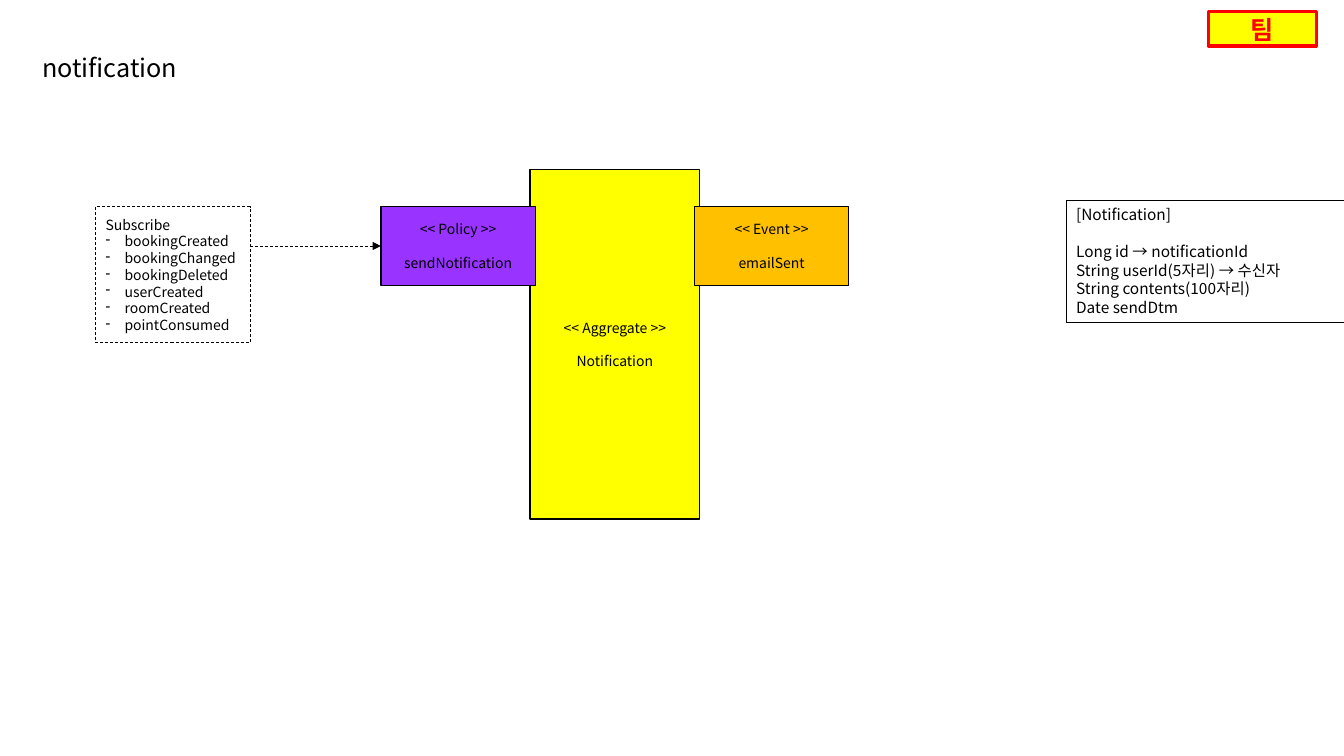
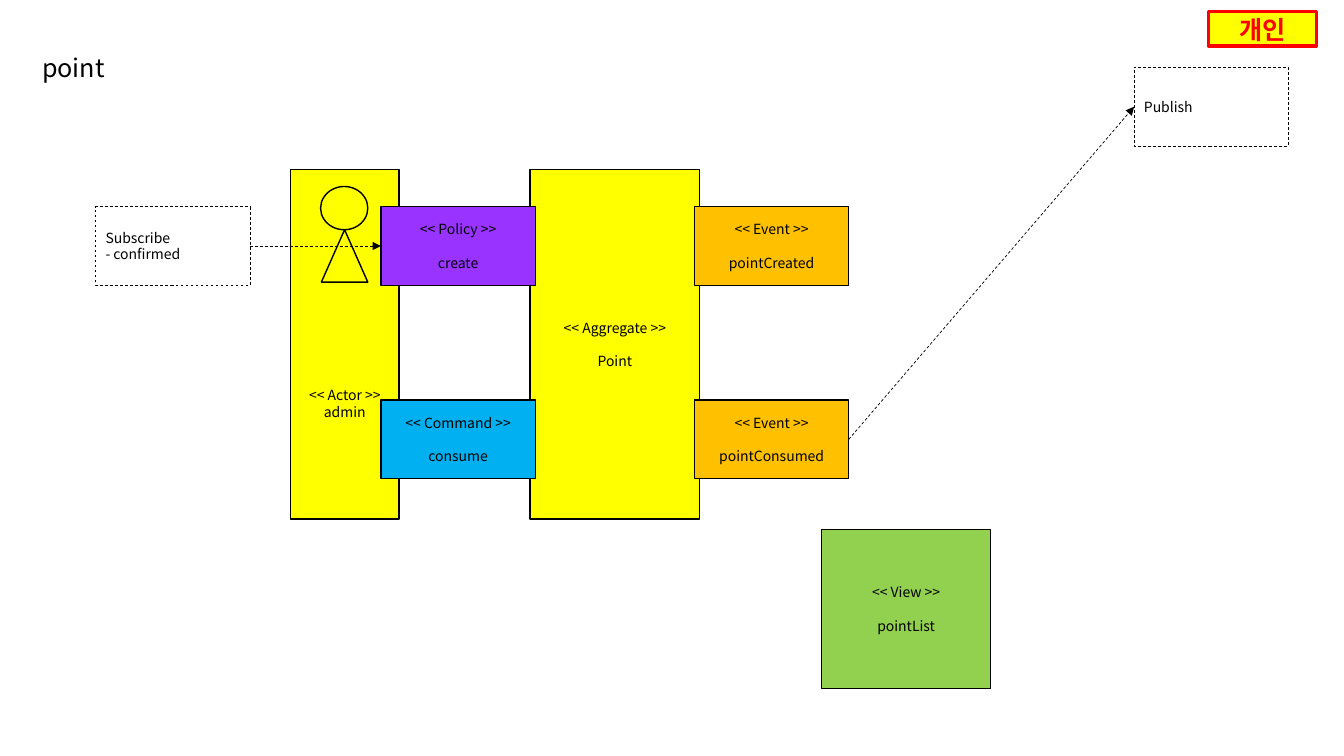
from dataclasses import dataclass

from lxml.etree import SubElement
from pptx import Presentation
from pptx.dml.color import RGBColor
from pptx.enum.dml import MSO_LINE
from pptx.enum.shapes import MSO_CONNECTOR, MSO_SHAPE
from pptx.enum.text import MSO_ANCHOR, PP_ALIGN
from pptx.oxml.ns import qn
from pptx.shapes.autoshape import Shape
from pptx.shapes.connector import Connector
from pptx.slide import Slide
from pptx.util import Cm, Pt

FONT = "Noto Sans CJK KR"
LINE_HEIGHT = 1.2
COLORS = {
    "black": "000000",
    "red": "FF0000",
    "Aggregate": "FFFF00",
    "Actor": "FFFF00",
    "Badge": "FFFF00",
    "Policy": "9933FF",
    "Command": "00B0F0",
    "Event": "FFC000",
    "View": "92D050",
}


@dataclass(frozen=True)
class Area:
    """Left, top, width and height in centimetres."""
    left: float
    top: float
    width: float
    height: float

    def lengths(self) -> tuple[Cm, Cm, Cm, Cm]:
        return Cm(self.left), Cm(self.top), Cm(self.width), Cm(self.height)


@dataclass(frozen=True)
class Element:
    """A stereotyped block of the event storming model."""
    kind: str
    name: str
    area: Area


@dataclass(frozen=True)
class TextStyle:
    size: float = 10
    color: str = "black"
    bold: bool = False
    alignment: PP_ALIGN = PP_ALIGN.LEFT
    gap_after_first: bool = False
    bulleted: bool = False


CENTERED = TextStyle(alignment=PP_ALIGN.CENTER)
STEREOTYPE = TextStyle(alignment=PP_ALIGN.CENTER, gap_after_first=True)
TITLE = TextStyle(size=18)
BADGE = TextStyle(size=18, color="red", bold=True, alignment=PP_ALIGN.CENTER)
FIELDS = TextStyle(size=11, gap_after_first=True)

CARD_WIDTH, CARD_HEIGHT = 3.89, 1.98
COLUMN_TOP, COLUMN_HEIGHT = 4.27, 8.81
SUBSCRIBE_LEFT, INPUT_LEFT, EVENT_LEFT = 2.41, 9.6, 17.5
ROW_TOPS = (5.21, 10.08)
AGGREGATE_AREA = Area(13.36, COLUMN_TOP, 4.27, COLUMN_HEIGHT)


def card_area(left: float, top: float) -> Area:
    return Area(left, top, CARD_WIDTH, CARD_HEIGHT)


def rgb(name: str) -> RGBColor:
    return RGBColor.from_string(COLORS[name])


def write_lines(shape: Shape, lines: list[str], style: TextStyle) -> None:
    frame = shape.text_frame
    frame.word_wrap = True
    for index, line in enumerate(lines):
        paragraph = frame.paragraphs[0] if index == 0 else frame.add_paragraph()
        paragraph.text = line
        paragraph.alignment = style.alignment
        paragraph.line_spacing = Pt(style.size * LINE_HEIGHT)
        if index == 1 and style.gap_after_first:
            paragraph.space_before = Pt(style.size * LINE_HEIGHT)
        font = paragraph.font
        font.name, font.size, font.bold = FONT, Pt(style.size), style.bold
        font.color.rgb = rgb(style.color)
        properties = paragraph._p.get_or_add_pPr()
        east_asian = SubElement(properties.find(qn("a:defRPr")), qn("a:ea"))
        east_asian.set("typeface", FONT)
        if style.bulleted and index > 0:
            properties.set("marL", str(Cm(0.48)))
            properties.set("indent", str(-Cm(0.48)))
            bullet = properties.makeelement(qn("a:buChar"), {"char": "-"})
            properties.find(qn("a:defRPr")).addprevious(bullet)


def add_box(shapes, area: Area, fill: str | None = None, line: str = "black",
            line_width: float = 1, preset: MSO_SHAPE = MSO_SHAPE.RECTANGLE) -> Shape:
    shape = shapes.add_shape(preset, *area.lengths())
    shape.shadow.inherit = False
    if fill:
        shape.fill.solid()
        shape.fill.fore_color.rgb = rgb(fill)
    else:
        shape.fill.background()
    shape.line.color.rgb = rgb(line)
    shape.line.width = Pt(line_width)
    shape.text_frame.vertical_anchor = MSO_ANCHOR.MIDDLE
    return shape


def add_element(slide: Slide, element: Element) -> Shape:
    shape = add_box(slide.shapes, element.area, element.kind)
    write_lines(shape, [f"<< {element.kind} >>", element.name], STEREOTYPE)
    return shape


def add_actor(slide: Slide, name: str) -> None:
    """Draw a column with a stick figure at its top and the name below."""
    shapes = slide.shapes.add_group_shape().shapes
    column = add_box(shapes, Area(7.32, COLUMN_TOP, 2.74, COLUMN_HEIGHT), "Actor")
    column.text_frame.margin_top = Cm(3.09)
    write_lines(column, ["<< Actor >>", name], CENTERED)
    add_box(shapes, Area(8.08, 4.7, 1.19, 1.09), "Actor", preset=MSO_SHAPE.OVAL)
    add_box(shapes, Area(8.1, 5.79, 1.17, 1.32), "Actor",
            preset=MSO_SHAPE.ISOSCELES_TRIANGLE)


def add_message_box(slide: Slide, area: Area, lines: list[str],
                    bulleted: bool = False) -> Shape:
    shape = add_box(slide.shapes, area, line_width=0.5)
    shape.line.dash_style = MSO_LINE.DASH
    write_lines(shape, lines, TextStyle(bulleted=bulleted))
    return shape


def add_arrow(slide: Slide, start: tuple[int, int], target: Shape,
              kind: MSO_CONNECTOR) -> Connector:
    """Draw a dashed arrow from a point to the left side of the target."""
    end = target.left, target.top + target.height // 2
    arrow = slide.shapes.add_connector(kind, *start, *end)
    arrow.end_connect(target, 1)
    arrow.line.color.rgb = rgb("black")
    arrow.line.width = Pt(0.5)
    arrow.line.dash_style = MSO_LINE.DASH
    SubElement(arrow.line._get_or_add_ln(), qn("a:tailEnd")).set("type", "triangle")
    SubElement(arrow._element.spPr, qn("a:effectLst"))
    return arrow


def add_subscription(slide: Slide, policy: Shape, lines: list[str],
                     height: float = CARD_HEIGHT, bulleted: bool = False) -> None:
    area = Area(SUBSCRIBE_LEFT, ROW_TOPS[0], CARD_WIDTH, height)
    box = add_message_box(slide, area, ["Subscribe", *lines], bulleted)
    start = box.left + box.width, box.top + Cm(CARD_HEIGHT / 2)
    arrow = add_arrow(slide, start, policy, MSO_CONNECTOR.ELBOW)
    if height == CARD_HEIGHT:
        arrow.begin_connect(box, 3)


def add_publication(slide: Slide, event: Shape) -> None:
    box = add_message_box(slide, card_area(28.58, 1.7), ["Publish"])
    start = event.left + event.width, event.top + event.height // 2
    add_arrow(slide, start, box, MSO_CONNECTOR.STRAIGHT).begin_connect(event, 3)


def add_titled_slide(presentation, title: str, badge: str) -> Slide:
    slide = presentation.slides.add_slide(presentation.slide_layouts[6])
    title_box = slide.shapes.add_textbox(*Area(0.81, 1.19, 6.2, 1.02).lengths())
    write_lines(title_box, [title], TITLE)
    badge_box = add_box(slide.shapes, Area(30.45, 0.3, 2.72, 0.86), "Badge", "red", 2.25)
    write_lines(badge_box, [badge], BADGE)
    return slide


def build_notification(presentation) -> None:
    slide = add_titled_slide(presentation, "notification", "팀")
    add_element(slide, Element("Aggregate", "Notification", AGGREGATE_AREA))
    policy = add_element(slide, Element("Policy", "sendNotification",
                                        card_area(INPUT_LEFT, ROW_TOPS[0])))
    add_element(slide, Element("Event", "emailSent", card_area(EVENT_LEFT, ROW_TOPS[0])))
    add_subscription(slide, policy, [
        "bookingCreated", "bookingChanged", "bookingDeleted",
        "userCreated", "roomCreated", "pointConsumed",
    ], height=3.43, bulleted=True)
    fields = add_box(slide.shapes, Area(26.87, 5.05, 8.86, 3.07), line_width=0.75)
    fields.text_frame.vertical_anchor = MSO_ANCHOR.TOP
    write_lines(fields, [
        "[Notification]",
        "Long id → notificationId",
        "String userId(5자리) → 수신자",
        "String contents(100자리)",
        "Date sendDtm",
    ], FIELDS)


def build_point(presentation) -> None:
    slide = add_titled_slide(presentation, "point", "개인")
    add_actor(slide, "admin")
    add_element(slide, Element("Aggregate", "Point", AGGREGATE_AREA))
    add_element(slide, Element("View", "pointList", Area(20.7, 13.34, 4.27, 4.01)))
    first_row, second_row = ROW_TOPS
    policy = add_element(slide, Element("Policy", "create", card_area(INPUT_LEFT, first_row)))
    add_element(slide, Element("Command", "consume", card_area(INPUT_LEFT, second_row)))
    add_element(slide, Element("Event", "pointCreated", card_area(EVENT_LEFT, first_row)))
    consumed = add_element(slide, Element("Event", "pointConsumed",
                                          card_area(EVENT_LEFT, second_row)))
    add_subscription(slide, policy, ["- confirmed"])
    add_publication(slide, consumed)


def main() -> None:
    presentation = Presentation()
    presentation.slide_width, presentation.slide_height = Cm(33.87), Cm(19.05)
    build_notification(presentation)
    build_point(presentation)
    presentation.save("out.pptx")


if __name__ == "__main__":
    main()
